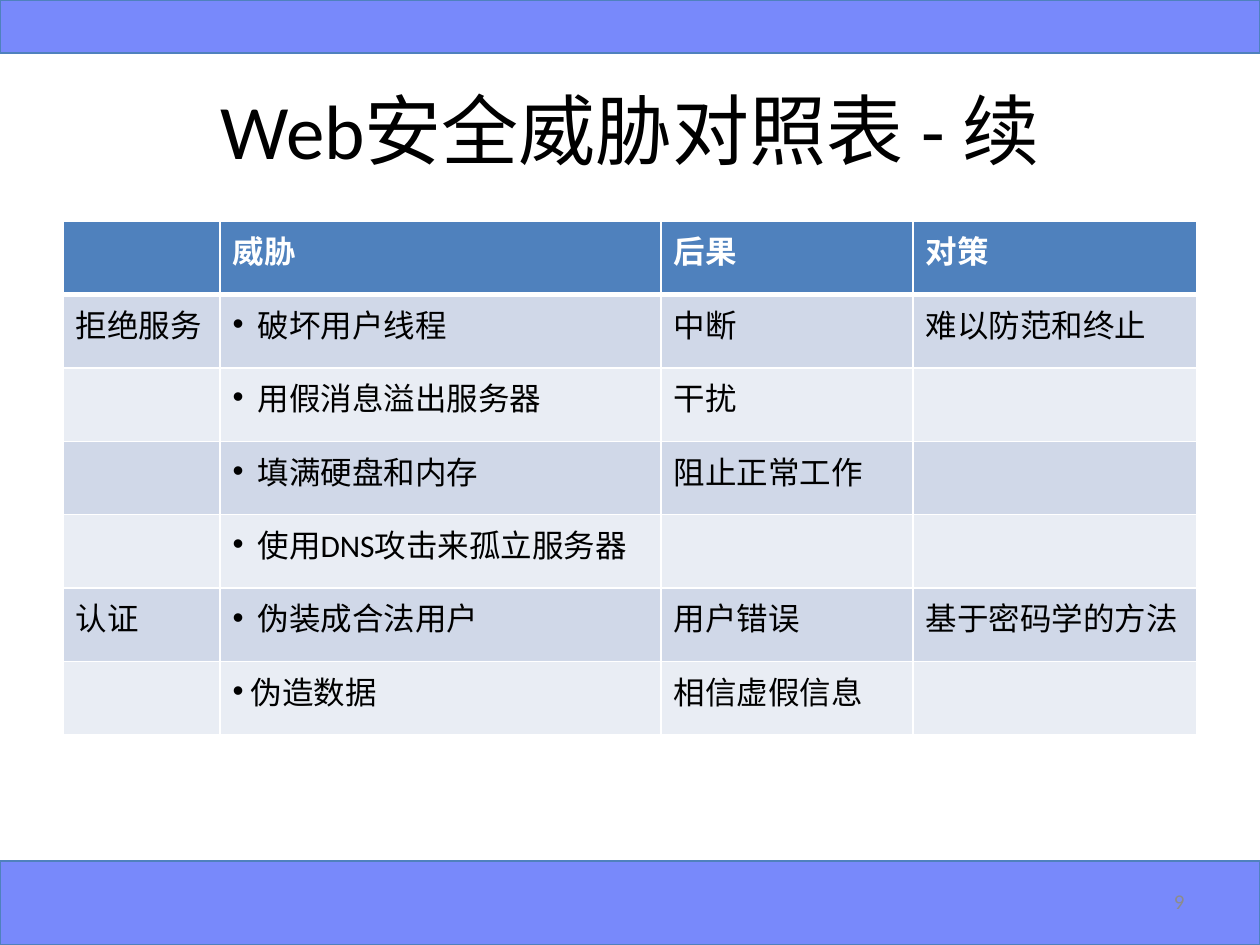
from pptx import Presentation
from pptx import util as u
from pptx.dml.color import RGBColor
from pptx.enum import shapes, text
from pptx.oxml import parse_xml
from pptx.oxml.ns import nsdecls

TITLE = "Web安全威胁对照表 - 续"
PAGE_NUMBER = "9"
HEADER = ("", "威胁", "后果", "对策")
ROWS = [
    ("拒绝服务", "破坏用户线程", "中断", "难以防范和终止"),
    ("", "用假消息溢出服务器", "干扰", ""),
    ("", "填满硬盘和内存", "阻止正常工作", ""),
    ("", "使用DNS攻击来孤立服务器", "", ""),
    ("认证", "伪装成合法用户", "用户错误", "基于密码学的方法"),
    ("", "伪造数据", "相信虚假信息", ""),
]
THREAT_COLUMN = 1
THREAT_INDENTS = (25, 25, 25, 25, 25, 18)
COLUMN_WIDTHS = (157, 441, 252, 284)
BANDS = [(0, 861, 1260, 84), (0, 0, 1260, 53)]
TITLE_AREA = (63, 73, 1134, 111)
NUMBER_AREA = (903, 876, 294, 50)
TABLE_AREA = (63, 221, 1134, 514)

THEME = {
    "font": "Calibri",
    "band": "7889FB",
    "accent": "4F81BD",
    "stripes": ("D0D8E8", "E9EDF4"),
    "grid": "FFFFFF",
    "title": {"size": 44, "color": "000000"},
    "number": {"size": 12, "color": "8C8C8C"},
    "header": {"size": 18, "color": "FFFFFF", "bold": True},
    "body": {"size": 18, "color": "000000", "bold": False},
}


def px(length):
    return round(length * 914400 / 126)


def area(lengths):
    return [px(length) for length in lengths]


def paint(fill, color):
    fill.solid()
    fill.fore_color.rgb = RGBColor.from_string(color)


def write(para, words, style):
    span = para.add_run()
    span.text = words
    values = {"name": THEME["font"], "size": u.Pt(style["size"]), "bold": style.get("bold")}
    for name, value in values.items():
        setattr(span.font, name, value)
    span.font.color.rgb = RGBColor.from_string(style["color"])


def add_text(page, place, words, style, align):
    frame = page.shapes.add_textbox(*area(place)).text_frame
    frame.word_wrap = True
    frame.vertical_anchor = text.MSO_ANCHOR.MIDDLE
    frame.paragraphs[0].alignment = align
    write(frame.paragraphs[0], words, style)


def add_band(page, place):
    band = page.shapes.add_shape(shapes.MSO_SHAPE.RECTANGLE, *area(place))
    band.shadow.inherit = False
    paint(band.fill, THEME["band"])
    paint(band.line.fill, THEME["accent"])
    band.line.width = u.Pt(0.75)


def add_bullet(para, indent):
    properties = para._p.get_or_add_pPr()
    properties.set("marL", str(px(indent)))
    properties.set("indent", str(-px(indent)))
    properties.append(parse_xml(f'<a:buFont {nsdecls("a")} typeface="Arial"/>'))
    properties.append(parse_xml(f'<a:buChar {nsdecls("a")} char="•"/>'))


def add_borders(cell, row):
    widths = {"L": 1, "R": 1, "T": 3 if row == 1 else 1, "B": 3 if row == 0 else 1}
    for place, (side, width) in enumerate(widths.items()):
        border = parse_xml(
            f'<a:ln{side} {nsdecls("a")} w="{u.Pt(width)}"><a:solidFill>'
            f'<a:srgbClr val="{THEME["grid"]}"/></a:solidFill></a:ln{side}>'
        )
        cell._tc.get_or_add_tcPr().insert(place, border)


def add_threat_table(page):
    lines = [HEADER, *ROWS]
    table = page.shapes.add_table(len(lines), len(HEADER), *area(TABLE_AREA)).table
    for column, width in zip(table.columns, COLUMN_WIDTHS):
        column.width = px(width)
    for row, line in enumerate(lines):
        table.rows[row].height = px(TABLE_AREA[3]) // len(lines)
        color = THEME["stripes"][(row - 1) % 2] if row else THEME["accent"]
        style = THEME["body" if row else "header"]
        for column, words in enumerate(line):
            cell = table.cell(row, column)
            paint(cell.fill, color)
            add_borders(cell, row)
            para = cell.text_frame.paragraphs[0]
            if row and column == THREAT_COLUMN:
                add_bullet(para, THREAT_INDENTS[row - 1])
            if words:
                write(para, words, style)
            else:
                para.font.size = u.Pt(style["size"])


def main():
    deck = Presentation()
    deck.slide_width, deck.slide_height = px(1260), px(945)
    page = deck.slides.add_slide(deck.slide_layouts[6])
    for place in BANDS:
        add_band(page, place)
    add_text(page, TITLE_AREA, TITLE, THEME["title"], text.PP_ALIGN.CENTER)
    add_text(page, NUMBER_AREA, PAGE_NUMBER, THEME["number"], text.PP_ALIGN.RIGHT)
    add_threat_table(page)
    deck.save("out.pptx")


if __name__ == "__main__":
    main()
